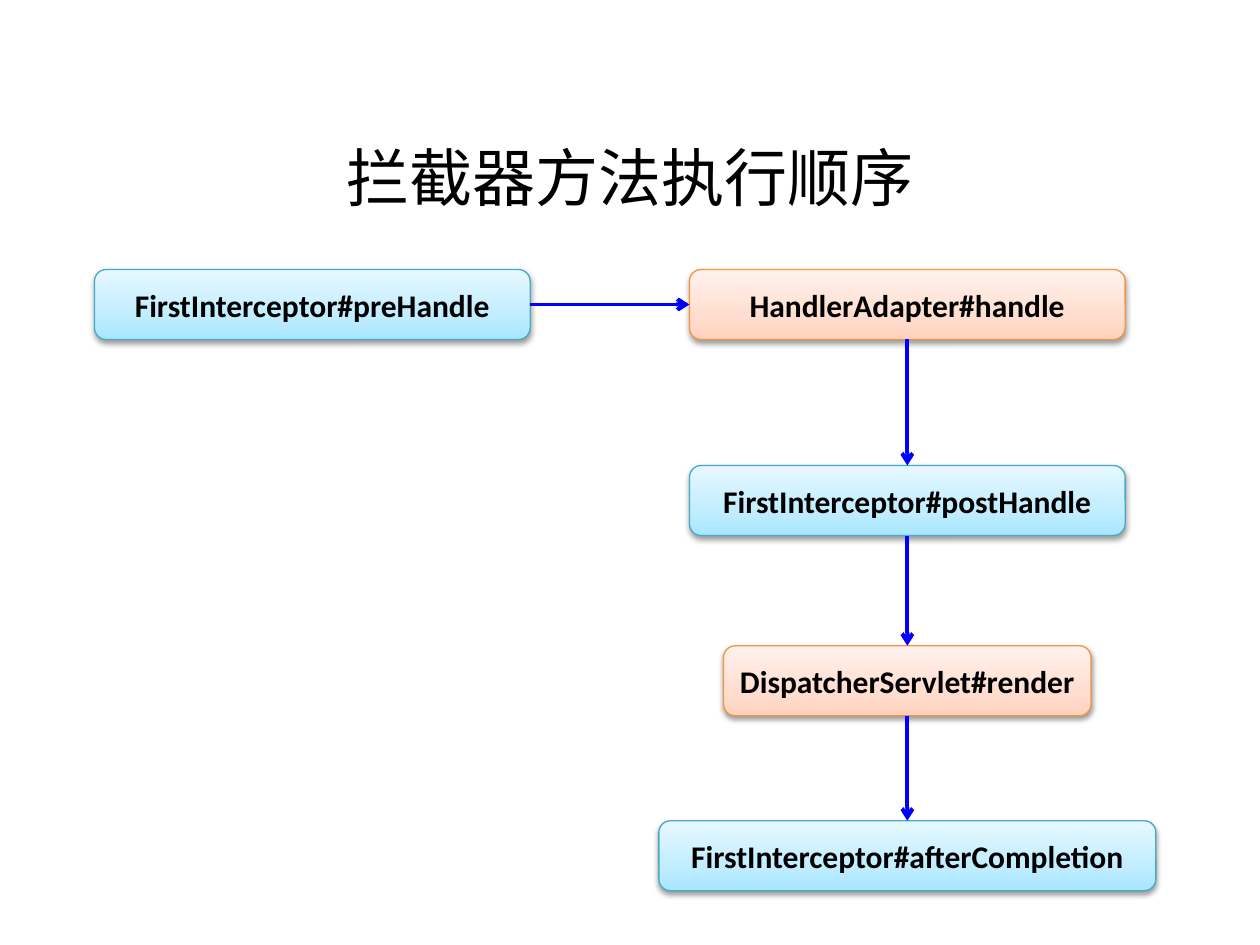
from copy import deepcopy
from itertools import pairwise

from lxml.etree import SubElement
from pptx import Presentation
from pptx.dml.color import RGBColor
from pptx.enum.shapes import MSO_CONNECTOR, MSO_SHAPE
from pptx.enum.text import MSO_ANCHOR, PP_ALIGN
from pptx.oxml.ns import qn
from pptx.util import Pt

BLACK = RGBColor(0x00, 0x00, 0x00)
ARROW_BLUE = RGBColor(0x00, 0x00, 0xFF)
AQUA_LINE = RGBColor(0x46, 0xAA, 0xC5)
AQUA_STOPS = (RGBColor(0xA7, 0xE6, 0xFF), RGBColor(0xC1, 0xED, 0xFF), RGBColor(0xE7, 0xF8, 0xFF))
ORANGE_LINE = RGBColor(0xF6, 0x92, 0x40)
ORANGE_STOPS = (RGBColor(0xFF, 0xD2, 0xBD), RGBColor(0xFF, 0xDE, 0xD0), RGBColor(0xFF, 0xF2, 0xED))
INTERCEPTOR = (AQUA_LINE, AQUA_STOPS)
FRAMEWORK = (ORANGE_LINE, ORANGE_STOPS)
STOP_POSITIONS = (0, 0.35, 1)

BOX_HEIGHT = 40
LEFT_CENTER = 178.5
RIGHT_CENTER = 518.5
TOP, LEFT, BOTTOM, RIGHT = 0, 1, 2, 3

STEPS = [
    ("FirstInterceptor#preHandle", LEFT_CENTER, 154, 249, INTERCEPTOR),
    ("HandlerAdapter#handle", RIGHT_CENTER, 154, 249, FRAMEWORK),
    ("FirstInterceptor#postHandle", RIGHT_CENTER, 266, 249, INTERCEPTOR),
    ("DispatcherServlet#render", RIGHT_CENTER, 369, 210, FRAMEWORK),
    ("FirstInterceptor#afterCompletion", RIGHT_CENTER, 469, 284, INTERCEPTOR),
]


def set_text(shape, text, font_name, size, bold):
    frame = shape.text_frame
    frame.word_wrap = True
    frame.vertical_anchor = MSO_ANCHOR.MIDDLE
    para = frame.paragraphs[0]
    para.text = text
    para.alignment = PP_ALIGN.CENTER
    para.font.name = font_name
    para.font.size = Pt(size)
    para.font.bold = bold
    para.font.color.rgb = BLACK


def set_title(page, text):
    title = page.shapes.title
    title.left, title.top, title.width, title.height = Pt(36), Pt(56), Pt(648), Pt(90)
    set_text(title, text, "DejaVu Sans Mono", 36, False)


def set_gradient(shape, colors):
    shape.fill.gradient()
    shape.fill.gradient_angle = 90
    stop_list = shape._element.spPr.find(".//" + qn("a:gsLst"))
    stop_list.append(deepcopy(stop_list[0]))
    for stop, position, color in zip(shape.fill.gradient_stops, STOP_POSITIONS, colors):
        stop.position = position
        stop.color.rgb = color


def add_shadow(shape):
    shape.shadow.inherit = False
    effects = shape._element.spPr.find(qn("a:effectLst"))
    shadow = SubElement(effects, qn("a:outerShdw"), blurRad=str(Pt(3.1)), dist=str(Pt(1.6)),
                        dir="5400000", rotWithShape="0")
    color = SubElement(shadow, qn("a:srgbClr"), val=str(BLACK))
    SubElement(color, qn("a:alpha"), val="38000")


def add_step(page, text, center, top, width, style):
    line_color, stop_colors = style
    box = page.shapes.add_shape(MSO_SHAPE.ROUNDED_RECTANGLE, Pt(center - width / 2), Pt(top),
                                Pt(width), Pt(BOX_HEIGHT))
    set_gradient(box, stop_colors)
    box.line.color.rgb = line_color
    box.line.width = Pt(0.75)
    add_shadow(box)
    set_text(box, text, "Calibri", 18, True)
    return box


def add_arrow(page, source, target):
    same_row = source.top == target.top
    start, end = (RIGHT, LEFT) if same_row else (BOTTOM, TOP)
    arrow = page.shapes.add_connector(MSO_CONNECTOR.STRAIGHT, 0, 0, 0, 0)
    arrow.begin_connect(source, start)
    arrow.end_connect(target, end)
    arrow.line.color.rgb = ARROW_BLUE
    arrow.line.width = Pt(2.25)
    properties = arrow._element.spPr
    SubElement(properties.find(qn("a:ln")), qn("a:tailEnd"), type="arrow")
    SubElement(properties, qn("a:effectLst"))


def main():
    deck = Presentation()
    deck.slide_width, deck.slide_height = Pt(720), Pt(540)
    page = deck.slides.add_slide(deck.slide_layouts[5])
    set_title(page, "拦截器方法执行顺序")
    boxes = [add_step(page, *step) for step in STEPS]
    for source, target in pairwise(boxes):
        add_arrow(page, source, target)
    deck.save("out.pptx")


if __name__ == "__main__":
    main()
